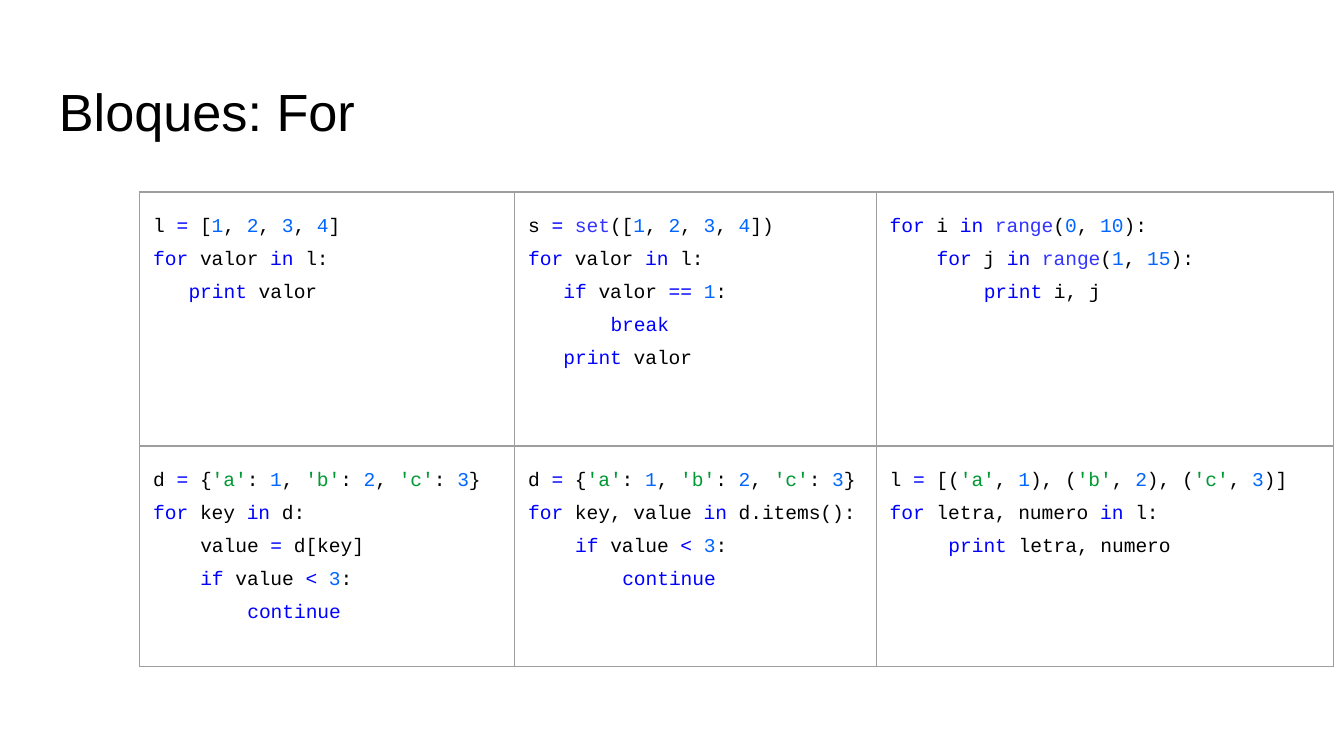
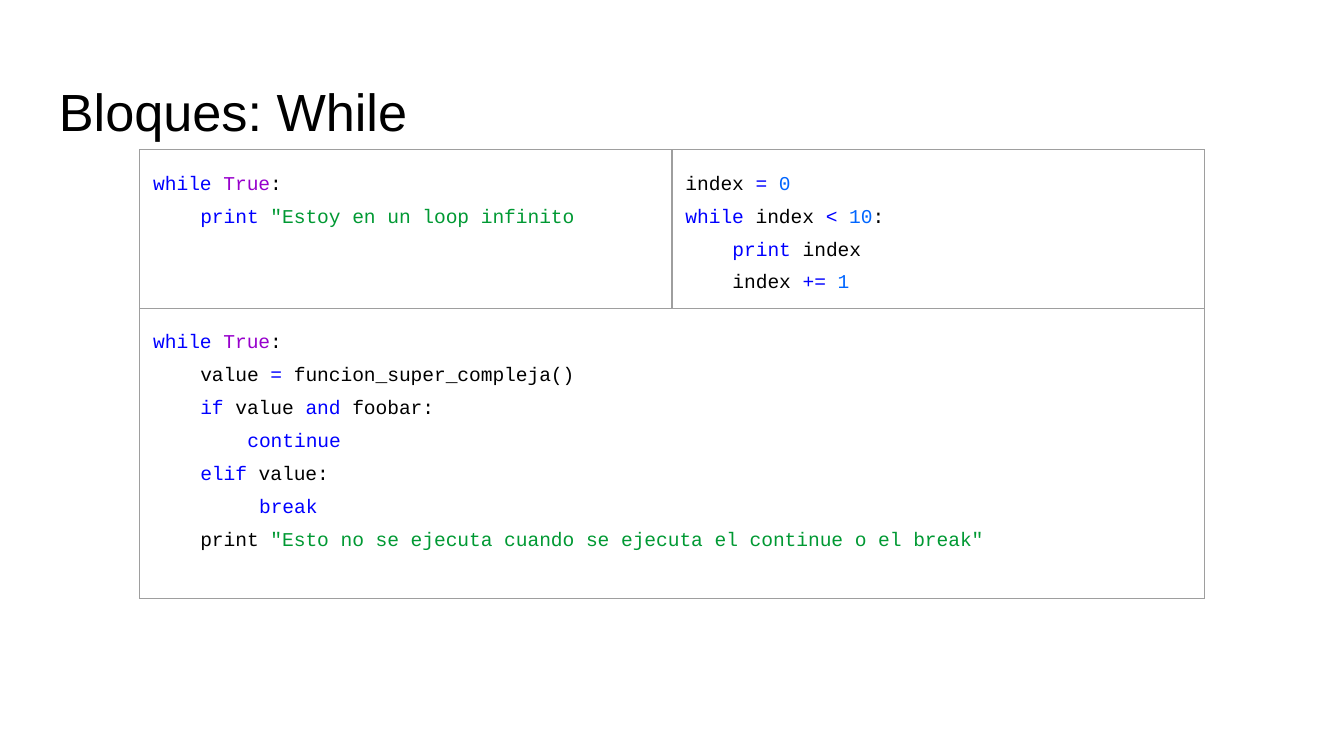
from dataclasses import dataclass
from itertools import groupby, takewhile
from typing import Iterator

from lxml.etree import SubElement
from pptx import Presentation
from pptx.dml.color import RGBColor
from pptx.enum.text import MSO_ANCHOR
from pptx.oxml.ns import qn
from pptx.util import Inches, Pt

W = Inches(10)
H = W * 9 // 16

COLORS = {
    "text": "000000",
    "keyword": "0000FF",
    "builtin": "3333FF",
    "constant": "9700CC",
    "number": "0066FF",
    "string": "009933",
    "border": "9E9E9E",
}
WORDS = {
    **dict.fromkeys("for in if elif while and print break continue".split(), "keyword"),
    **dict.fromkeys(("set", "range"), "builtin"),
    "True": "constant",
}
OPERATORS = "=<+"
PLAIN = "`"  # text between these marks is left uncoloured
QUOTES = "'\"" + PLAIN

TITLE_FONT = {"name": "Arial", "size": Pt(28)}
CODE_FONT = {"name": "Courier New", "size": Pt(10.5)}
CHAR_WIDTH = Pt(10.5 * 0.6)  # advance of one monospaced character
INSETS = {f"margin_{side}": Inches(0.1) for side in ("left", "right", "top", "bottom")}
TITLE_FRAME = {**INSETS, "word_wrap": True, "vertical_anchor": MSO_ANCHOR.TOP}
# The small bottom inset keeps full cells from stretching their row
CELL_FORMAT = {**INSETS, "vertical_anchor": MSO_ANCHOR.TOP, "margin_bottom": Inches(0.02)}
TABLE_LEFT = 10.4


@dataclass
class CodeSlide:
    """Positions and sizes are percentages of the slide."""
    title: str
    top: float
    cols: list[float]
    rows: list[float]
    code: list[list[str]]  # a short row lets its last cell span the rest


SLIDES = [
    CodeSlide("Bloques: For", 25.4, [27.9, 26.9, 34], [33.6, 29.2], [
        ["""
l = [1, 2, 3, 4]
for valor in l:
   print valor
""", """
s = set([1, 2, 3, 4])
for valor in l:
   if valor == 1:
       break
   print valor
""", """
for i in range(0, 10):
    for j in range(1, 15):
        print i, j
"""],
        ["""
d = {'a': 1, 'b': 2, 'c': 3}
for key in d:
    value = d[key]
    if value < 3:
        continue
""", """
d = {'a': 1, 'b': 2, 'c': 3}
for key, value in d.items():
    if value < 3:
        continue
""", """
l = [('a', 1), ('b', 2), ('c', 3)]
for letra, numero in l:
     print letra, numero
"""],
    ]),
    CodeSlide("Bloques: While", 19.8, [39.6, 39.6], [21, 38.4], [
        ["""
while True:
    print "Estoy en un loop infinito
""", """
index = 0
while index < 10:
    print index
    index += 1
"""],
        ["""
while True:
    value = funcion_super_compleja()
    if value and foobar:
        continue
    elif value:
         break
    `print` "Esto no se ejecuta cuando se ejecuta el continue o el break"
"""],
    ]),
]


def across(share: float) -> int:
    return round(W * share / 100)


def down(share: float) -> int:
    return round(H * share / 100)


def apply(target, values: dict) -> None:
    for name, value in values.items():
        setattr(target, name, value)


def add_run(p, text: str, font: dict, color: str) -> None:
    r = p.add_run()
    r.text = text
    apply(r.font, font)
    r.font.color.rgb = RGBColor.from_string(COLORS[color])


# Syntax colouring
def char_kind(c: str) -> str:
    if c.isalnum() or c == "_":
        return "word"
    if c in OPERATORS:
        return "keyword"
    return "quote" if c in QUOTES else "text"


def tokens(line: str) -> Iterator[tuple[str, str]]:
    i = 0
    while i < len(line):
        kind = char_kind(line[i])
        if kind == "quote":
            end = line.find(line[i], i + 1) + 1 or len(line)
            token = line[i:end]
            color = "text" if line[i] == PLAIN else "string"
        else:
            token = "".join(takewhile(lambda c: char_kind(c) == kind, line[i:]))
            color = kind
            if kind == "word":
                color = "number" if token.isdigit() else WORDS.get(token, "text")
        i += len(token)
        yield token.strip(PLAIN), color


def write_code(tf, code: str) -> None:
    for n, line in enumerate(code.strip("\n").split("\n")):
        p = tf.paragraphs[0] if n == 0 else tf.add_paragraph()
        p.line_spacing = 1.5
        body = line.lstrip()
        pPr = p._p.get_or_add_pPr()
        pPr.set("marL", str((len(line) - len(body)) * CHAR_WIDTH))
        pPr.set("indent", "0")
        for color, group in groupby(tokens(body), key=lambda t: t[1]):
            add_run(p, "".join(text for text, _ in group), CODE_FONT, color)


# Table parts
def format_cell(cell) -> None:
    apply(cell, CELL_FORMAT)
    tcPr = cell._tc.get_or_add_tcPr()
    for side in ("lnL", "lnR", "lnT", "lnB"):
        ln = SubElement(tcPr, qn(f"a:{side}"), w=str(Pt(0.75)))
        fill = SubElement(ln, qn("a:solidFill"))
        SubElement(fill, qn("a:srgbClr"), val=COLORS["border"])
    cell.fill.background()


def add_code_table(s, content: CodeSlide) -> None:
    n_rows, n_cols = len(content.rows), len(content.cols)
    table = s.shapes.add_table(
        n_rows, n_cols, across(TABLE_LEFT), down(content.top),
        across(sum(content.cols)), down(sum(content.rows))).table
    apply(table, {"first_row": False, "horz_banding": False})
    for col, share in zip(table.columns, content.cols):
        col.width = across(share)
    for row, share in zip(table.rows, content.rows):
        row.height = down(share)
    for cell in table.iter_cells():
        format_cell(cell)
    for i, row_code in enumerate(content.code):
        if len(row_code) < n_cols:
            table.cell(i, len(row_code) - 1).merge(table.cell(i, n_cols - 1))
        for j, code in enumerate(row_code):
            write_code(table.cell(i, j).text_frame, code)


def add_title(s, title: str) -> None:
    tf = s.shapes.add_textbox(across(3.4), down(8.7), across(93.2), down(11.2)).text_frame
    apply(tf, TITLE_FRAME)
    add_run(tf.paragraphs[0], title, TITLE_FONT, "text")


def main() -> None:
    prs = Presentation()
    apply(prs, {"slide_width": W, "slide_height": H})
    for content in SLIDES:
        s = prs.slides.add_slide(prs.slide_layouts[6])
        add_title(s, content.title)
        add_code_table(s, content)
    prs.save("out.pptx")


if __name__ == "__main__":
    main()
